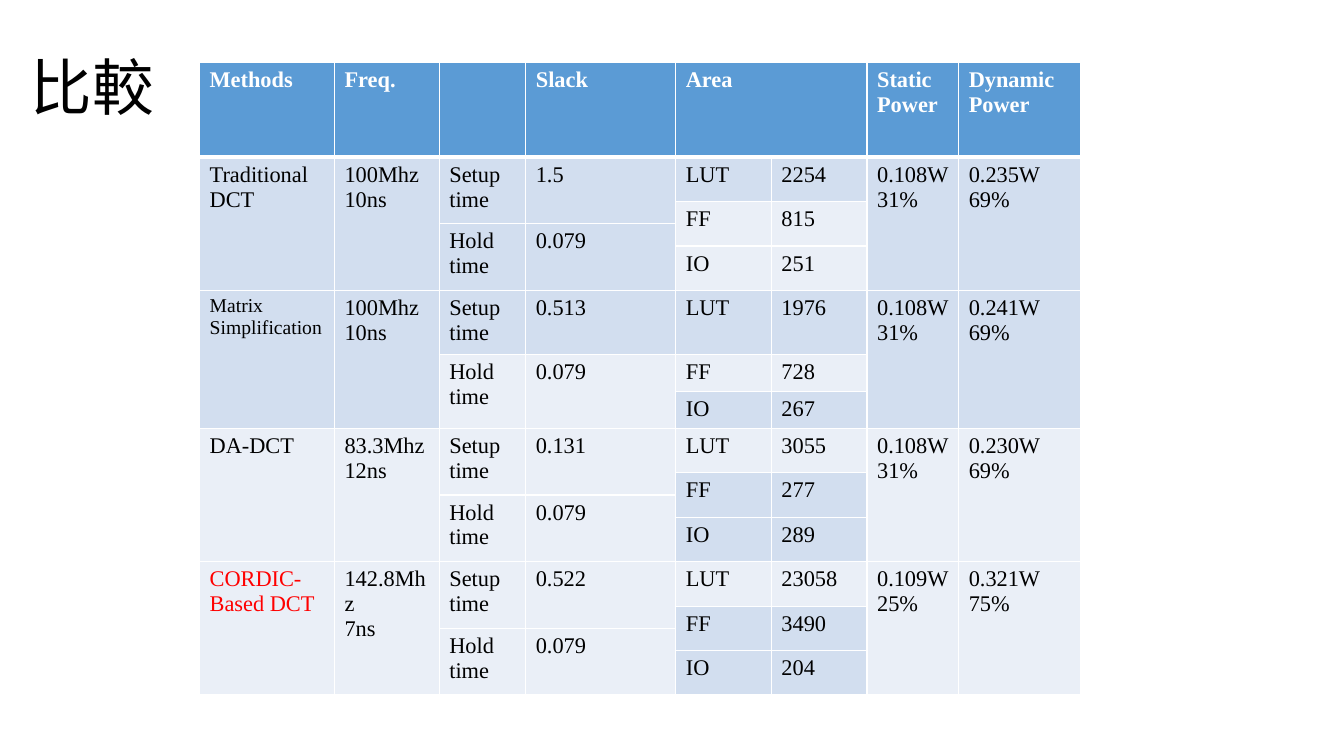
from lxml import etree
from pptx import Presentation
from pptx.dml.color import RGBColor
from pptx.enum.text import MSO_ANCHOR
from pptx.oxml.ns import qn
from pptx.util import Cm, Pt

MIDDLE = MSO_ANCHOR.MIDDLE
TITLE_FONT, TABLE_FONT = "Noto Sans CJK SC", "Times New Roman"
BLACK, WHITE, RED = "000000", "FFFFFF", "FF0000"
HEADER_BLUE, DARK_BAND, LIGHT_BAND = "5B9BD5", "D2DEEF", "EAEFF7"

COLUMN_WIDTHS = [3.4, 2.64, 2.18, 3.78, 2.41, 2.41, 2.31, 3.07]
HEADER_HEIGHT = 2.39
# (first column, column span, text)
HEADINGS = [(0, 1, "Methods"), (1, 1, "Freq."), (2, 1, ""), (3, 1, "Slack"),
            (4, 2, "Area"), (6, 1, "Static\nPower"), (7, 1, "Dynamic\nPower")]

# Row heights of one method, then (first row, row span) of its timing and area parts
FOUR_ROWS = ([1.12, 0.56, 0.56, 1.12], [(0, 2), (2, 2)], [(0, 1), (1, 2), (3, 1)])
THREE_ROWS = ([0.84] * 3, [(0, 1), (1, 2)], [(0, 1), (1, 1), (2, 1)])

# name, size, colour, frequency, slacks, areas, powers, rows, band, hold band, area bands
METHODS = [
    ("Traditional\nDCT", 16, BLACK, "100Mhz\n10ns", ["1.5", "0.079"],
     ["2254", "815", "251"], ["0.108W\n31%", "0.235W\n69%"], FOUR_ROWS,
     DARK_BAND, DARK_BAND, [DARK_BAND, LIGHT_BAND, LIGHT_BAND]),
    ("Matrix Simplification", 14, BLACK, "100Mhz\n10ns", ["0.513", "0.079"],
     ["1976", "728", "267"], ["0.108W\n31%", "0.241W\n69%"], THREE_ROWS,
     DARK_BAND, LIGHT_BAND, [DARK_BAND, LIGHT_BAND, DARK_BAND]),
    ("DA-DCT", 16, BLACK, "83.3Mhz\n12ns", ["0.131", "0.079"],
     ["3055", "277", "289"], ["0.108W\n31%", "0.230W\n69%"], FOUR_ROWS,
     LIGHT_BAND, LIGHT_BAND, [LIGHT_BAND, DARK_BAND, DARK_BAND]),
    ("CORDIC-Based DCT", 16, RED, "142.8Mhz\n7ns", ["0.522", "0.079"],
     ["23058", "3490", "204"], ["0.109W\n25%", "0.321W\n75%"], FOUR_ROWS,
     LIGHT_BAND, LIGHT_BAND, [LIGHT_BAND, DARK_BAND, DARK_BAND]),
]


def rgb(colour):
    return RGBColor.from_string(colour)


def write(paragraph, text, font, size, colour, bold=False):
    run = paragraph.add_run()
    run.text = text
    run.font.name, run.font.size, run.font.bold = font, Pt(size), bold
    run.font.color.rgb = rgb(colour)
    east_asian = etree.Element(qn("a:ea"), typeface=font)
    run.font._element.find(qn("a:latin")).addnext(east_asian)


def set_borders(cell, top, bottom):
    properties = cell._tc.get_or_add_tcPr()
    for side, width in (("L", 1), ("R", 1), ("T", top), ("B", bottom)):
        line = etree.SubElement(properties, qn(f"a:ln{side}"), w=str(Pt(width)))
        fill = etree.SubElement(line, qn("a:solidFill"))
        etree.SubElement(fill, qn("a:srgbClr"), val=WHITE)


def fill_block(table, row, column, text, fill, rows=1, columns=1,
               size=16, colour=BLACK, bold=False):
    """Style a block of cells, merge it and write one paragraph per line."""
    for r in range(row, row + rows):
        for c in range(column, column + columns):
            cell = table.cell(r, c)
            set_borders(cell, 3 if r == 1 else 1, 3 if r == 0 else 1)
            cell.fill.solid()
            cell.fill.fore_color.rgb = rgb(fill)
            cell.text_frame.paragraphs[0].font.size = Pt(size)
    origin = table.cell(row, column)
    if rows * columns > 1:
        origin.merge(table.cell(row + rows - 1, column + columns - 1))
    if not text:
        return
    frame = origin.text_frame
    for index, line in enumerate(text.split("\n")):
        paragraph = frame.add_paragraph() if index else frame.paragraphs[0]
        write(paragraph, line, TABLE_FONT, size, colour, bold)


def add_title(slide, left, top, width, height):
    frame = slide.shapes.add_textbox(left, top, width, height).text_frame
    frame.word_wrap = True
    frame.vertical_anchor = MIDDLE
    frame.paragraphs[0].line_spacing = 0.9
    write(frame.paragraphs[0], "比較", TITLE_FONT, 44, BLACK)


def add_method(table, start, method):
    (name, size, colour, frequency, slacks, areas, powers,
     (heights, timing_rows, area_rows), band, hold_band, area_bands) = method
    count = len(heights)
    fill_block(table, start, 0, name, band, count, size=size, colour=colour)
    for column, text in zip((1, 6, 7), [frequency, *powers]):
        fill_block(table, start, column, text, band, count)
    # Setup and hold slack
    for label, slack, (offset, span), fill in zip(
            ("Setup\ntime", "Hold\ntime"), slacks, timing_rows, (band, hold_band)):
        fill_block(table, start + offset, 2, label, fill, span)
        fill_block(table, start + offset, 3, slack, fill, span)
    # Area use
    for label, area, (offset, span), fill in zip(
            ("LUT", "FF", "IO"), areas, area_rows, area_bands):
        fill_block(table, start + offset, 4, label, fill, span)
        fill_block(table, start + offset, 5, area, fill, span)


def add_comparison(slide, left, top, width, height):
    row_heights = [HEADER_HEIGHT] + [h for method in METHODS for h in method[7][0]]
    frame = slide.shapes.add_table(
        len(row_heights), len(COLUMN_WIDTHS), left, top, width, height)
    table = frame.table
    table.horz_banding = False
    for column, column_width in zip(table.columns, COLUMN_WIDTHS):
        column.width = Cm(column_width)
    for row, row_height in zip(table.rows, row_heights):
        row.height = Cm(row_height)
    frame.height = height
    # Header
    for column, span, text in HEADINGS:
        fill_block(table, 0, column, text, HEADER_BLUE, columns=span,
                   colour=WHITE, bold=True)
    # One group of rows for each method
    start = 1
    for method in METHODS:
        add_method(table, start, method)
        start += len(method[7][0])


def main():
    presentation = Presentation()
    presentation.slide_width, presentation.slide_height = Cm(33.87), Cm(19.05)
    slide = presentation.slides.add_slide(presentation.slide_layouts[6])
    add_title(slide, Cm(0.53), Cm(0.43), Cm(29.21), Cm(3.68))
    add_comparison(slide, Cm(5.03), Cm(1.57), Cm(22.2), Cm(15.9))
    presentation.save("out.pptx")


if __name__ == "__main__":
    main()
